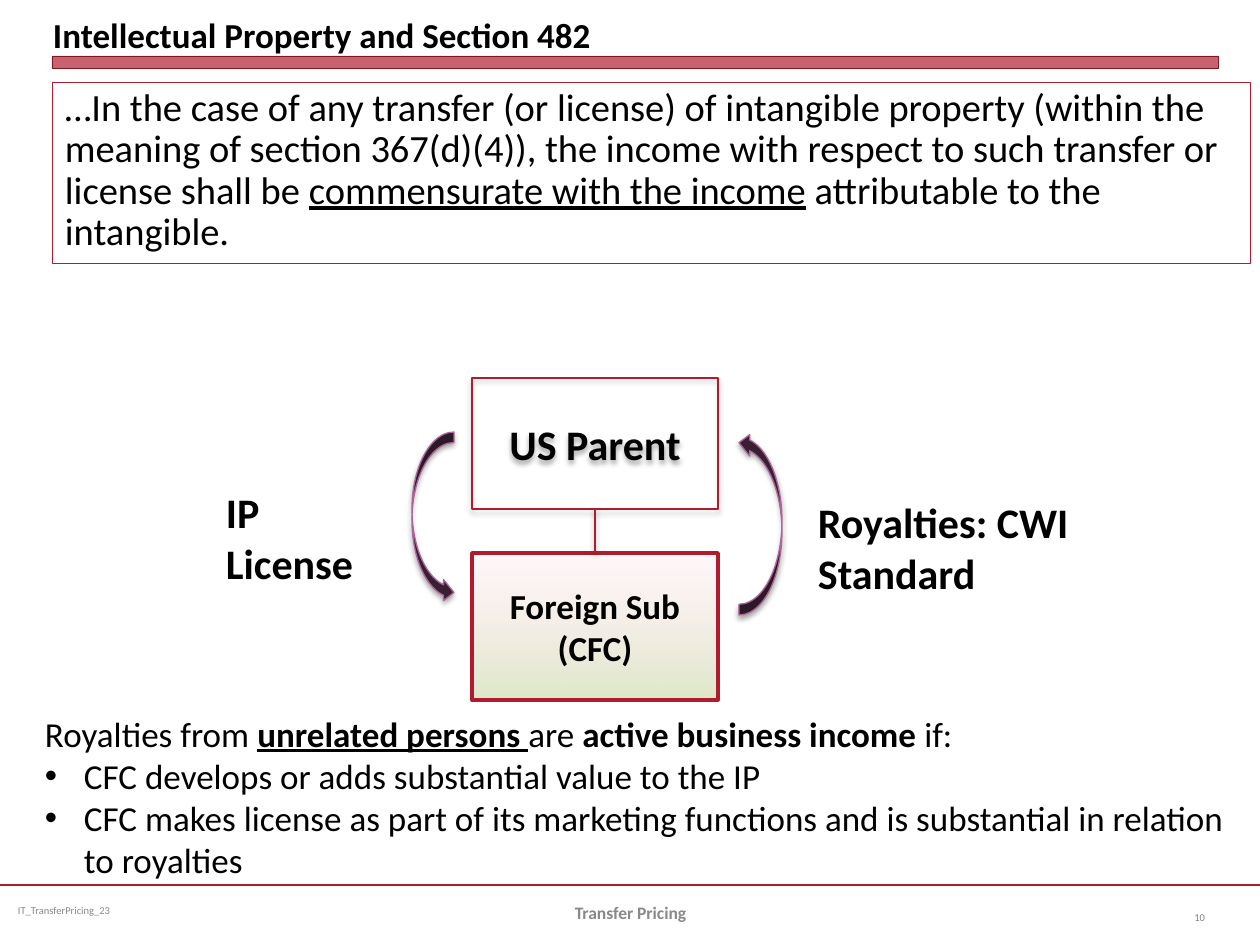
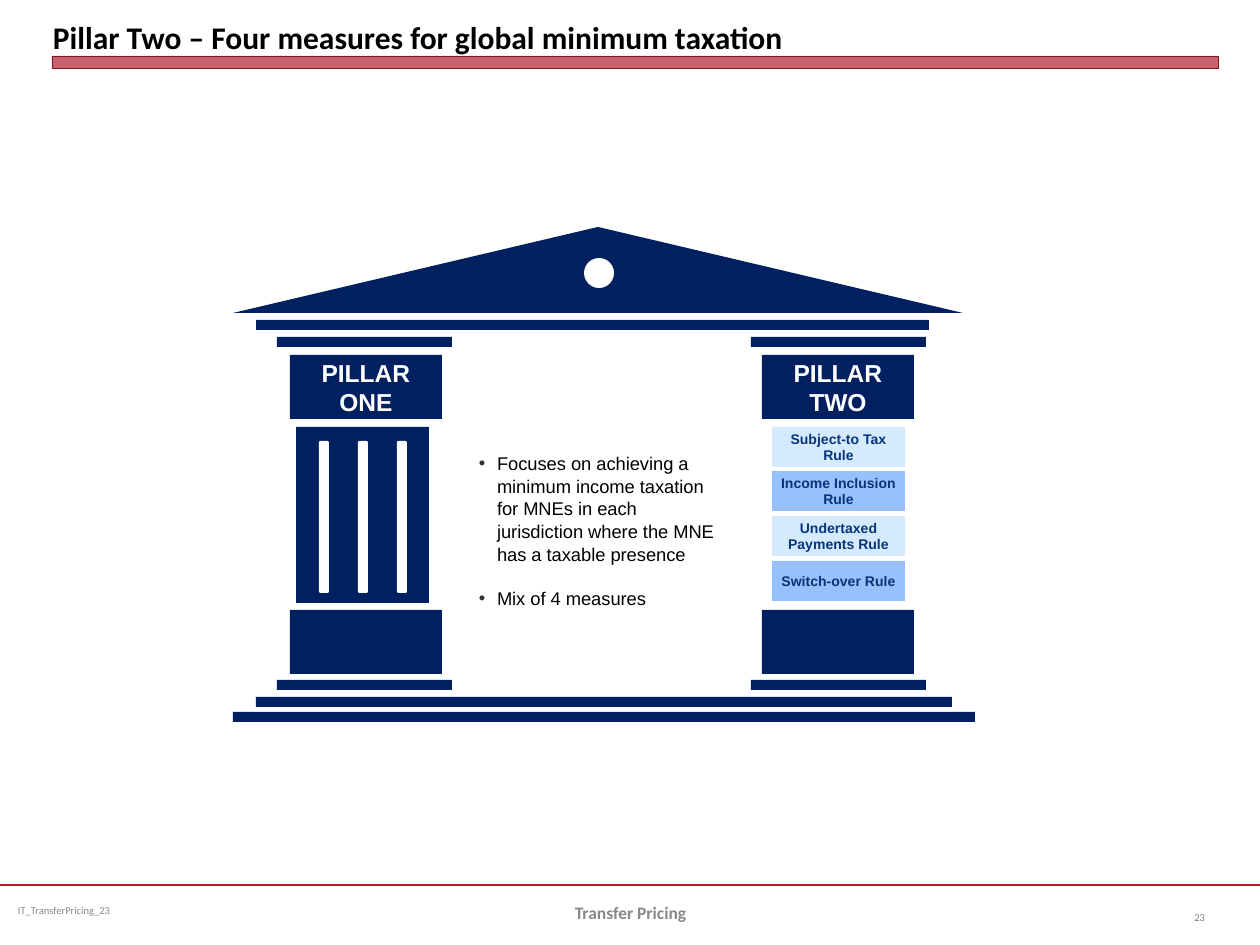
from lxml.etree import SubElement
from pptx import Presentation
from pptx.dml.color import RGBColor
from pptx.enum.shapes import MSO_CONNECTOR, MSO_SHAPE
from pptx.enum.text import MSO_ANCHOR, PP_ALIGN
from pptx.oxml.ns import qn
from pptx.util import Emu, Pt

# Shared look
RED, DARK_RED, NAVY, BLACK, WHITE = "B01C2E", "821522", "002060", "000000", "FFFFFF"
GREY, PAGE_GREY, PLUM, MAUVE = "898989", "808080", "381F31", "AB6699"
PALE_BLUE, MID_BLUE, RULE_TEXT = "D6EAFF", "98C0FA", "06357A"
FOOTER_CODE, FOOTER_TITLE = "IT_TransferPricing_23", "Transfer Pricing"
LEFT, CENTER, RIGHT = PP_ALIGN.LEFT, PP_ALIGN.CENTER, PP_ALIGN.RIGHT
TOP, MIDDLE, BOTTOM = MSO_ANCHOR.TOP, MSO_ANCHOR.MIDDLE, MSO_ANCHOR.BOTTOM
INSETS = (13, 6, 13, 6)

# Slide 1 content: a paragraph is a string or a list of (text, style) spans
QUOTE = [
    ("…In the case of any transfer (or license) of intangible property (within the "
     "meaning of section 367(d)(4)), the income with respect to such transfer or "
     "license shall be ", ""),
    ("commensurate with the income", "u"),
    (" attributable to the intangible.", ""),
]
ROYALTY_LEAD = [("Royalties from ", ""), ("unrelated persons ", "bu"), ("are ", ""),
                ("active business income ", "b"), ("if:", "")]
ROYALTY_TESTS = [
    "CFC develops or adds substantial value to the IP",
    "CFC makes license as part of its marketing functions and is substantial "
    "in relation to royalties",
]
FLOW_LABELS = [("IP License", (213, 481, 154, 50)),
               ("Royalties: CWI Standard", (805, 491, 355, 50))]
FLOW_ARROWS = [("flipH", (412, 432, 42, 171)), ("flipV", (739, 432, 43, 183))]

# Slide 2 content
PILLARS = [("PILLAR ONE", 277, 290), ("PILLAR TWO", 751, 762)]  # name, slab x, block x
BEAMS = [(256, 320, 673), (256, 697, 696), (233, 712, 742)]  # x, y, width
SLAB_TOPS, SLAB_WIDTH, SLAB_HEIGHT = (337, 680), 175, 10
BLOCK_TOPS, BLOCK_WIDTH, BLOCK_HEIGHT = (355, 610), 152, 64
SHAFT = (296, 427, 133, 176)
RULES = ["Subject-to Tax Rule", "Income Inclusion Rule",
         "Undertaxed Payments Rule", "Switch-over Rule"]
PILLAR_NOTES = [
    "Focuses on achieving a minimum income taxation for MNEs in each jurisdiction "
    "where the MNE has a taxable presence",
    "Mix of 4 measures",
]


def px(length):
    return Emu(round(length * 914400 / 126))


def color(value):
    return RGBColor.from_string(value)


def set_alpha(fill_color, percent):
    """Make every solid or gradient colour element given partly transparent."""
    SubElement(fill_color, qn("a:alpha"), val=str(percent * 1000))


def add_shadow(item):
    """Soft shadow straight below the item."""
    properties = item._element.spPr
    effects = properties.find(qn("a:effectLst"))
    if effects is None:
        effects = SubElement(properties, qn("a:effectLst"))
    shadow = SubElement(effects, qn("a:outerShdw"), blurRad=str(Pt(3.1)),
                        dist=str(Pt(1.8)), dir="5400000", rotWithShape="0")
    set_alpha(SubElement(shadow, qn("a:srgbClr"), val=BLACK), 35)


def add_box(page, kind, place, fill=None, line=None, width=0.75):
    box = page.shapes.add_shape(kind, *map(px, place))
    box.shadow.inherit = False
    if fill:
        box.fill.solid()
        box.fill.fore_color.rgb = color(fill)
    else:
        box.fill.background()
    if line:
        box.line.color.rgb = color(line)
        box.line.width = Pt(width)
    else:
        box.line.fill.background()
    return box


def add_line(page, start, end, width):
    line = page.shapes.add_connector(MSO_CONNECTOR.STRAIGHT, *map(px, start + end))
    line.line.color.rgb = color(RED)
    line.line.width = Pt(width)
    SubElement(line._element.spPr, qn("a:effectLst"))
    return line


def add_bullet(para, indent, bullet_color):
    properties = para._p.get_or_add_pPr()
    properties.set("marL", str(px(indent)))
    properties.set("indent", str(-px(indent)))
    tint = SubElement(properties, qn("a:buClr"))
    SubElement(tint, qn("a:srgbClr"), val=bullet_color)
    SubElement(properties, qn("a:buFont"), typeface="Arial")
    SubElement(properties, qn("a:buChar"), char="•")


def write(box, paragraphs, size, font="Calibri", ink=BLACK, bold=False,
          align=LEFT, anchor=MIDDLE, insets=INSETS):
    frame = box.text_frame
    frame.word_wrap = True
    frame.vertical_anchor = anchor
    (frame.margin_left, frame.margin_top,
     frame.margin_right, frame.margin_bottom) = map(px, insets)
    for index, content in enumerate(paragraphs):
        para = frame.add_paragraph() if index else frame.paragraphs[0]
        para.alignment = align
        spans = [(content, "")] if isinstance(content, str) else content
        for text, style in spans:
            span = para.add_run()
            span.text = text
            span.font.name, span.font.size = font, Pt(size)
            span.font.color.rgb = color(ink)
            span.font.bold = bold or "b" in style
            span.font.underline = "u" in style
    return frame.paragraphs


def add_text(page, place, paragraphs, size, **look):
    box = page.shapes.add_textbox(*map(px, place))
    return write(box, paragraphs, size, **look)


def add_page(deck, title, title_size, number):
    """Blank slide with the title, band, rule and footers."""
    page = deck.slides.add_slide(deck.slide_layouts[6])
    add_line(page, (0, 885), (1260, 885), 1.25)
    add_text(page, (10, 885, 325, 50), [FOOTER_CODE], 6, ink=GREY, insets=(8, 4, 8, 4))
    band = add_box(page, MSO_SHAPE.RECTANGLE, (52, 56, 1166, 12), RED, DARK_RED, 0.25)
    set_alpha(band._element.spPr.find(qn("a:solidFill"))[0], 69)
    add_text(page, (53, 6, 1166, 50), [title], title_size, bold=True,
             anchor=BOTTOM, insets=(0, 0, 0, 0))
    add_text(page, (431, 888, 399, 50), [FOOTER_TITLE], 10, ink=GREY, bold=True,
             align=CENTER)
    add_text(page, (1155, 892, 63, 50), [number], 6, ink=PAGE_GREY, align=RIGHT)
    return page


def build_section_482(deck):
    page = add_page(deck, "Intellectual Property and Section 482", 20, "10")

    # Statute quotation
    quote = add_box(page, MSO_SHAPE.RECTANGLE, (52, 82, 1198, 181), line=RED, width=0.25)
    write(quote, [QUOTE], 22, anchor=TOP)[0].line_spacing = 0.9

    # Parent and subsidiary
    parent = add_box(page, MSO_SHAPE.RECTANGLE, (472, 378, 246, 131), line=RED)
    add_shadow(parent)
    write(parent, ["US Parent"], 24, bold=True, align=CENTER)
    subsidiary = add_box(page, MSO_SHAPE.RECTANGLE, (472, 553, 246, 147), line=RED, width=2)
    subsidiary.fill.gradient()
    subsidiary.fill.gradient_angle = 90
    bottom, top = subsidiary.fill.gradient_stops
    for stop, tint, position in ((bottom, "DEE9C9", 0), (top, "FADDE0", 1)):
        stop.color.rgb = color(tint)
        stop.position = position
    set_alpha(top._gs[0], 19)
    write(subsidiary, ["Foreign Sub", "(CFC)"], 20, bold=True, align=CENTER)
    ownership = add_line(page, (595, 509), (595, 553), 1)
    ownership.begin_connect(parent, 2)
    ownership.end_connect(subsidiary, 0)
    add_shadow(ownership)

    # License and royalty flows
    for flip, place in FLOW_ARROWS:
        arrow = add_box(page, MSO_SHAPE.CURVED_LEFT_ARROW, place, PLUM, MAUVE)
        arrow._element.spPr.find(qn("a:xfrm")).set(flip, "1")
        add_shadow(arrow)
    for label, place in FLOW_LABELS:
        add_text(page, place, [label], 24, bold=True, anchor=TOP)

    # Active business income tests
    lines = add_text(page, (32, 706, 1217, 183), [ROYALTY_LEAD] + ROYALTY_TESTS, 20,
                     anchor=TOP)
    for para in lines[1:]:
        add_bullet(para, 39, BLACK)


def build_pillar_two(deck):
    page = add_page(deck, "Pillar Two – Four measures for global minimum taxation", 18, "23")

    # Roof and long beams
    roof = add_box(page, MSO_SHAPE.ISOSCELES_TRIANGLE, (233, 227, 730, 86), NAVY)
    roof.adjustments[0] = 0.5
    add_box(page, MSO_SHAPE.OVAL, (584, 258, 30, 30), WHITE)
    for left, top, width in BEAMS:
        add_box(page, MSO_SHAPE.RECTANGLE, (left, top, width, SLAB_HEIGHT), NAVY)

    # Slabs, named head and base of each pillar
    for name, slab_left, block_left in PILLARS:
        for top in SLAB_TOPS:
            add_box(page, MSO_SHAPE.RECTANGLE,
                    (slab_left, top, SLAB_WIDTH, SLAB_HEIGHT), NAVY)
        head, base = [add_box(page, MSO_SHAPE.RECTANGLE,
                              (block_left, top, BLOCK_WIDTH, BLOCK_HEIGHT), NAVY)
                      for top in BLOCK_TOPS]
        write(head, [name], 14, font="Arial", ink=WHITE, bold=True, align=CENTER,
              insets=(8, 8, 8, 8))

    # Fluted shaft of pillar one
    add_box(page, MSO_SHAPE.RECTANGLE, SHAFT, NAVY)
    for index in range(3):
        add_box(page, MSO_SHAPE.ROUNDED_RECTANGLE, (319 + 39 * index, 441, 10, 152), WHITE)

    # Four rules forming the shaft of pillar two
    for index, rule in enumerate(RULES):
        tile = add_box(page, MSO_SHAPE.RECTANGLE, (772, 427 + index * 134 // 3, 133, 40),
                       MID_BLUE if index % 2 else PALE_BLUE)
        write(tile, [rule], 8, font="Arial", ink=RULE_TEXT, bold=True, align=CENTER,
              insets=(8, 8, 8, 8))

    # Notes between the pillars
    notes = add_text(page, (475, 447, 244, 160), PILLAR_NOTES, 10.5, font="Arial",
                     anchor=TOP, insets=(4, 4, 4, 4))
    for para in notes:
        para.line_spacing = 1.04
        para.space_after = Pt(12)
        add_bullet(para, 18, "333333")


def main():
    deck = Presentation()
    deck.slide_width, deck.slide_height = px(1260), px(945)
    build_section_482(deck)
    build_pillar_two(deck)
    deck.save("out.pptx")


if __name__ == "__main__":
    main()
